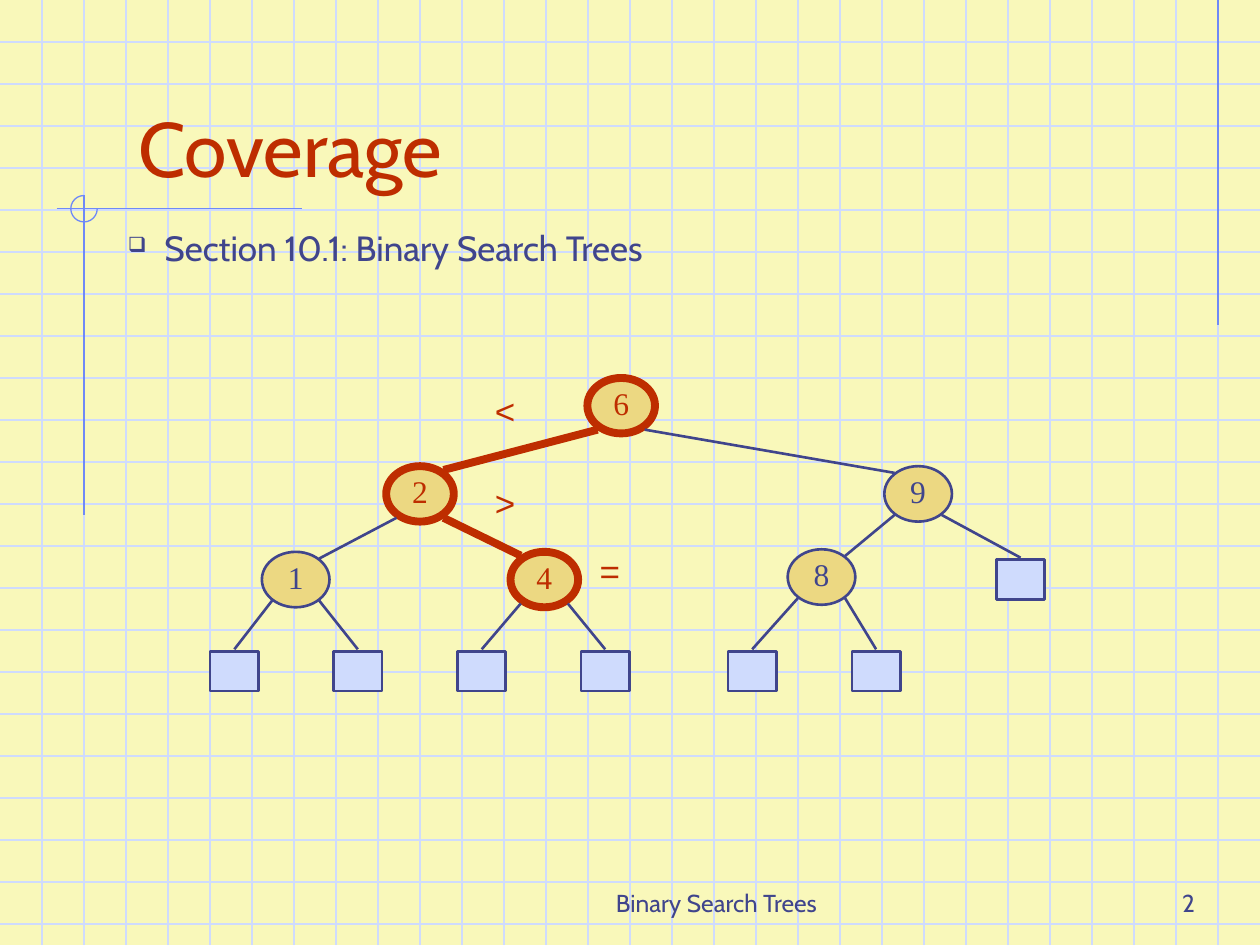
from lxml.etree import SubElement
from pptx import Presentation
from pptx.dml.color import RGBColor
from pptx.enum.shapes import MSO_CONNECTOR, MSO_SHAPE
from pptx.enum.text import MSO_ANCHOR, PP_ALIGN
from pptx.oxml.ns import qn
from pptx.util import Inches, Pt

CELL = 1 / 3  # side of a grid square in inches; all lengths count squares
COLS, ROWS = 30, 22.5
PAPER, GRID, RULE = "F9F8BA", "CFDBFD", "6F89F7"
NAVY, RED, GOLD = "40458C", "BE2D00", "ECD882"

# key: (centre x, centre y, on the search path)
NODES = {
    "6": (14.79, 9.66, True),
    "9": (21.86, 11.76, False),
    "2": (10, 11.76, True),
    "4": (12.96, 13.8, True),
    "1": (7.04, 13.8, False),
    "8": (19.56, 13.74, False),
}
EDGES = ["62", "69", "21", "24", "98"]
# parent key, centre x, centre y
LEAVES = [
    ("1", 5.58, 15.98), ("1", 8.52, 15.98),
    ("4", 11.47, 15.98), ("4", 14.41, 15.98),
    ("8", 17.91, 15.98), ("8", 20.86, 15.98),
    ("9", 24.3, 13.8),
]
LEAF_W, LEAF_H = 1.15, 0.94
SIGNS = [("<", 11.49, 9.12, 1.08), (">", 11.49, 11.31, 1.08),
         ("=", 13.98, 12.93, 1.26)]


def cells(*counts):
    return [Inches(n * CELL) for n in counts]


def tint(code):
    return RGBColor.from_string(code)


def style(text, size, font, color):
    for run in text.runs:
        run.font.size = Pt(size)
        run.font.name = font
        run.font.color.rgb = tint(color)


def line(slide, start, end, color, width=0.75):
    link = slide.shapes.add_connector(
        MSO_CONNECTOR.STRAIGHT, *cells(*start, *end))
    link.line.color.rgb = tint(color)
    link.line.width = Pt(width)
    SubElement(link._element.spPr, qn("a:effectLst"))


def shape(slide, kind, mid, size, fill, color, width):
    """Add a preset shape around its centre point."""
    (x, y), (w, h) = mid, size
    item = slide.shapes.add_shape(kind, *cells(x - w / 2, y - h / 2, w, h))
    item.shadow.inherit = False
    if fill:
        item.fill.solid()
        item.fill.fore_color.rgb = tint(fill)
    else:
        item.fill.background()
    item.line.color.rgb = tint(color)
    item.line.width = Pt(width)
    return item


def label(slide, words, box, size, color=NAVY, font="Cabin", wrap=True,
          anchor=MSO_ANCHOR.BOTTOM, align=PP_ALIGN.LEFT):
    frame = slide.shapes.add_textbox(*cells(*box)).text_frame
    frame.word_wrap = wrap
    frame.vertical_anchor = anchor
    frame.text = words
    text = frame.paragraphs[0]
    text.alignment = align
    style(text, size, font, color)
    return text


def bullet(text, mark, color, share, indent):
    """Hang a coloured mark, sized as a percentage of the text."""
    props = text._p.get_or_add_pPr()
    props.set("marL", str(Inches(indent)))
    props.set("indent", str(-Inches(indent)))
    hue = SubElement(props, qn("a:buClr"))
    SubElement(hue, qn("a:srgbClr")).set("val", color)
    SubElement(props, qn("a:buSzPct")).set("val", str(share * 1000))
    SubElement(props, qn("a:buChar")).set("char", mark)


def paper(slide):
    """Draw the squared paper with its ruled margins."""
    fill = slide.background.fill
    fill.solid()
    fill.fore_color.rgb = tint(PAPER)
    for row in range(1, int(ROWS) + 1):
        line(slide, (0, row), (COLS, row), GRID)
    for col in range(1, COLS):
        line(slide, (col, 0), (col, ROWS), GRID)
    line(slide, (29, 0), (29, 7.74), RULE)
    line(slide, (1.35, 4.97), (7.2, 4.97), RULE)
    line(slide, (2, 4.65), (2, 12.27), RULE)
    arc = shape(slide, MSO_SHAPE.ARC, (2, 4.97), (0.63, 0.63),
                None, RULE, 0.75)
    arc.adjustments[0] = 0
    arc.adjustments[1] = 162  # 270 degrees


def node(slide, key):
    x, y, hot = NODES[key]
    color = RED if hot else NAVY
    oval = shape(slide, MSO_SHAPE.OVAL, (x, y), (1.61, 1.32),
                 GOLD, color, 4.5 if hot else 1.5)
    frame = oval.text_frame
    frame.margin_left = frame.margin_right = frame.margin_top = 0
    frame.word_wrap = False
    frame.vertical_anchor = MSO_ANCHOR.MIDDLE
    frame.text = key
    text = frame.paragraphs[0]
    text.alignment = PP_ALIGN.CENTER
    style(text, 18, "Times New Roman", color)


def port(key, toward, side):
    """Point where an edge meets a node; side is 1 below and -1 above."""
    x, y, hot = NODES[key]
    return (x + (0.56 if toward > x else -0.56),
            y + side * (0.57 if hot else 0.5))


def tree(slide):
    for key in NODES:
        node(slide, key)
    for top, low in EDGES:
        hot = NODES[top][2] and NODES[low][2]
        line(slide, port(top, NODES[low][0], 1), port(low, NODES[top][0], -1),
             RED if hot else NAVY, 4.5 if hot else 1.5)
    for top, x, y in LEAVES:
        shape(slide, MSO_SHAPE.RECTANGLE, (x, y), (LEAF_W, LEAF_H),
              GRID, NAVY, 1.5)
        line(slide, port(top, x, 1), (x, y - LEAF_H / 2 - 0.05), NAVY, 1.5)
    for sign, x, y, wide in SIGNS:
        label(slide, sign, (x, y, wide, 1.32), 20, RED, "Arial",
              wrap=False, anchor=MSO_ANCHOR.TOP)


def main():
    deck = Presentation()
    deck.slide_width, deck.slide_height = cells(COLS, ROWS)
    slide = deck.slides.add_slide(deck.slide_layouts[6])
    paper(slide)
    label(slide, "Binary Search Trees", (10.25, 20.5, 9.5, 1.5), 14,
          align=PP_ALIGN.RIGHT)
    label(slide, "Coverage", (3, 1, 25.5, 3.75), 44, RED)
    topic = label(slide, "Section 10.1: Binary Search Trees",
                  (2.75, 5.25, 21.25, 2.5), 20, anchor=MSO_ANCHOR.TOP)
    bullet(topic, "❑", NAVY, 60, 0.29)
    label(slide, "2", (22.5, 20.5, 6.25, 1.5), 14, align=PP_ALIGN.RIGHT)
    tree(slide)
    deck.save("out.pptx")


if __name__ == "__main__":
    main()
